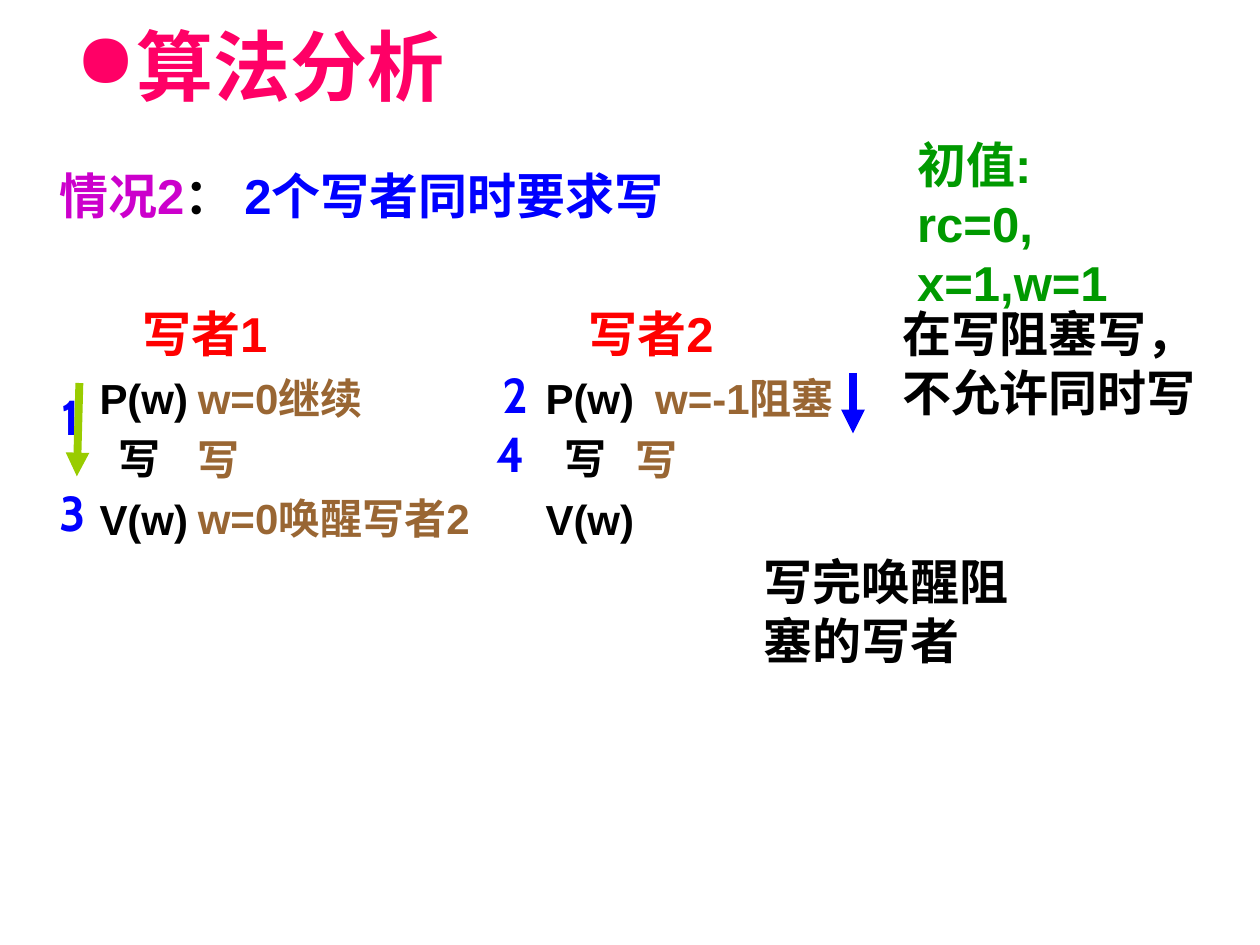
import pptx
import pptx.dml.color
import pptx.enum.shapes
import pptx.enum.text
import pptx.oxml
import pptx.oxml.ns
import pptx.util
from pptx.util import Inches

BLACK, BLUE, BROWN, RED = "000000", "0000FF", "996633", "FF0000"


def color(hex_value):
    return pptx.dml.color.RGBColor.from_string(hex_value)


def add_text(left, top, width, height, lines, name="Arial"):
    """Each line is a list of (text, size, colour) runs."""
    shape = slide.shapes.add_textbox(Inches(left), Inches(top), Inches(width), Inches(height))
    frame_format = {"word_wrap": True, "margin_left": 0, "margin_top": 0,
                    "margin_right": 0, "margin_bottom": 0}
    for attribute, value in frame_format.items():
        setattr(shape.text_frame, attribute, value)
    for index, line in enumerate(lines):
        paragraph = shape.text_frame.paragraphs[0] if index == 0 else shape.text_frame.add_paragraph()
        for text, size, hex_value in line:
            run = paragraph.add_run()
            run.text = text
            for attribute, value in {"name": name, "size": pptx.util.Pt(size), "bold": True}.items():
                setattr(run.font, attribute, value)
            run.font.color.rgb = color(hex_value)
    return shape.text_frame


presentation = pptx.Presentation()
presentation.slide_width = Inches(10)
presentation.slide_height = Inches(7.5)
slide = presentation.slides.add_slide(presentation.slide_layouts[6])

# Title with a round bullet
title = add_text(0.6, 0, 8.8, 1.03, [[("算法分析", 44, "FF0066")]])
title.vertical_anchor = pptx.enum.text.MSO_ANCHOR.MIDDLE
properties = title.paragraphs[0]._p.get_or_add_pPr()
properties.set("marL", "0")
properties.set("indent", "0")
bullet = pptx.oxml.parse_xml(f'<a:buChar {pptx.oxml.ns.nsdecls("a")} char="●"/>')
properties.append(bullet)

# Case and initial values
add_text(0.47, 1.31, 5.2, 0.47,
         [[("情况2", 28, "CC00CC"), ("： ", 28, BLACK), ("2个写者同时要求写", 28, BLUE)]])
add_text(7.28, 1.07, 1.77, 1.4,
         [[("初值: rc=0,", 28, "009900")], [("x=1,w=1", 28, "009900")]])

# Code of the two writers
for left, writer in [(0.79, "写者1"), (4.33, "写者2")]:
    code = add_text(left, 2.41, 2.36, 1.9,
                    [[(writer, 28, RED)]] + [[(step, 24, BLACK)] for step in ("P(w)", "写", "V(w)")])
    for paragraph, indent in zip(code.paragraphs, (0.34, 0, 0.15, 0)):
        paragraph._p.get_or_add_pPr().set("marL", str(Inches(indent)))
    for paragraph in code.paragraphs[1:]:
        paragraph.line_spacing = 1.2

# Effect of each step
for left, top, width, effect in [
    (1.57, 2.96, 1.65, "w=0继续"),
    (1.57, 3.44, 1.65, "写"),
    (1.57, 3.91, 2.52, "w=0唤醒写者2"),
    (5.2, 2.96, 2.84, "w=-1阻塞"),
    (5.04, 3.44, 1.65, "写"),
]:
    add_text(left, top, width, 0.4, [[(effect, 24, BROWN)]])

# Order of execution
for left, top, number in [(0.49, 3.07, "1"), (3.99, 2.89, "2"), (0.47, 3.83, "3"), (3.94, 3.36, "4")]:
    add_text(left, top, 0.71, 0.47, [[(number, 28, BLUE)]], "Cabin")

for start_x, start_y, end_x, end_y, hex_value in [
    (0.63, 3.04, 0.61, 3.78, "99CC00"),
    (6.77, 2.96, 6.77, 3.44, BLUE),
]:
    arrow = slide.shapes.add_connector(
        pptx.enum.shapes.MSO_CONNECTOR.STRAIGHT,
        Inches(start_x), Inches(start_y), Inches(end_x), Inches(end_y))
    arrow.line.width = pptx.util.Pt(4.5)
    arrow.line.color.rgb = color(hex_value)
    namespace = pptx.oxml.ns.nsdecls("a")
    arrow.line._get_or_add_ln().append(pptx.oxml.parse_xml(f'<a:tailEnd {namespace} type="triangle"/>'))
    arrow._element.spPr.append(pptx.oxml.parse_xml(f"<a:effectLst {namespace}/>"))

# Conclusions
add_text(7.16, 2.41, 2.84, 0.93, [[("在写阻塞写，", 28, BLACK)], [("不允许同时写", 28, BLACK)]])
add_text(6.06, 4.38, 2.05, 0.93, [[("写完唤醒阻塞的写者", 28, BLACK)]])

presentation.save("out.pptx")
